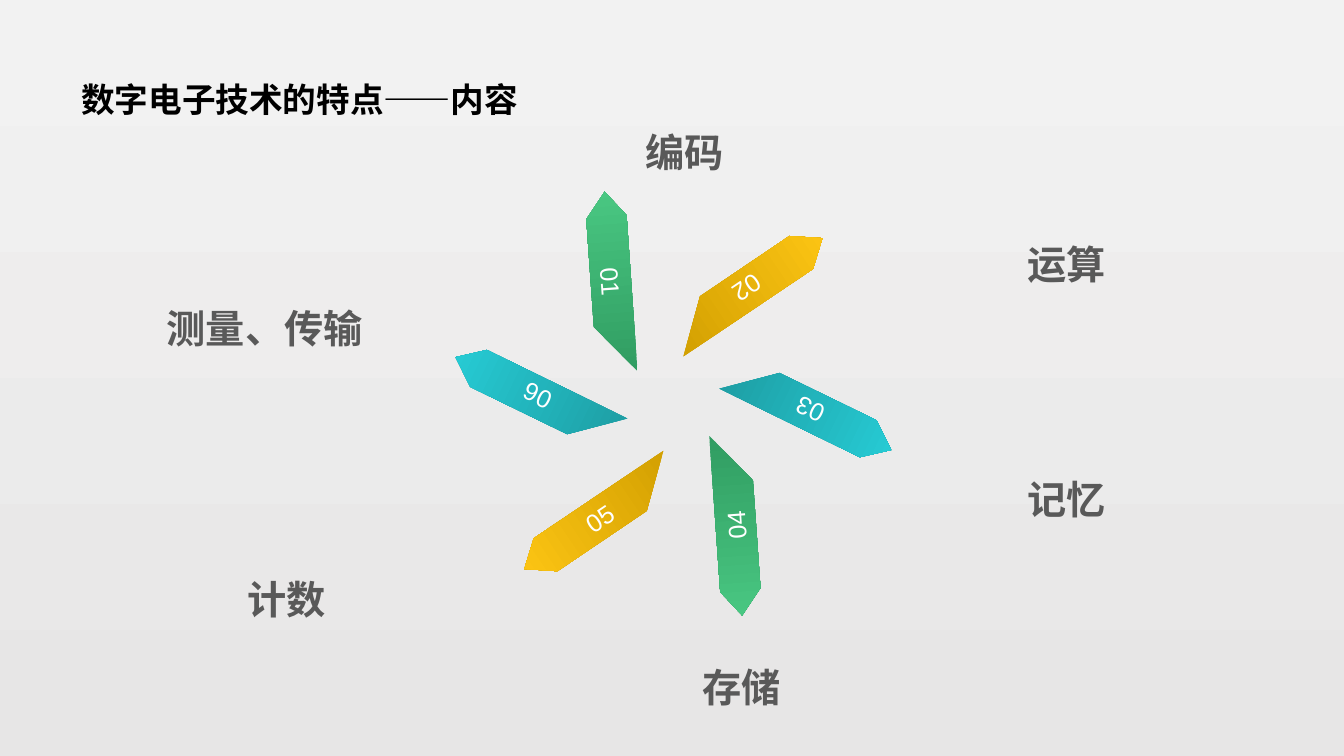
from math import cos, radians, sin

from pptx import Presentation
from pptx import util as u
from pptx.dml.color import RGBColor
from pptx.enum import text

TITLE = ("数字电子技术的特点——内容", 1.8, 0.71, 29.21, 3.68)
LABELS = [
    ("编码", 13.11, 3.35, 8.28, 1.19),
    ("运算", 23.14, 5.11, 7.47, 2.26),
    ("记忆", 23.14, 11.02, 7.47, 2.26),
    ("存储", 14.68, 15.77, 8.0, 2.26),
    ("计数", 3.56, 13.56, 7.34, 2.26),
    ("测量、传输", 3.0, 6.73, 7.34, 2.26),
]
BLADES = [
    ("01", "309C61", "49C782", True),
    ("02", "CF9D00", "FFC715", True),
    ("03", "1D9BA1", "27CED7", True),
    ("04", "309C61", "49C782", True),
    ("05", "CF9D00", "FFC715", True),
    ("06", "1D9BA1", "27CED7", False),
]
OUTLINE = [(0, 1.02), (3.94, 1.02), (4.57, 0.51), (3.91, 0), (1.19, 0)]
BLADE_WIDTH, BLADE_HEIGHT = 4.57, 1.02
HUB_X, HUB_Y, RADIUS = 16.97, 10.17, 3.44
FIRST_TURN, LEAD = 266, 23.2
HALF_TURN = "10800000"


def color(value):
    return RGBColor.from_string(value)


def fill_gradient(fill, start, end, angle):
    fill.gradient()
    fill.gradient_angle = angle
    for stop, position, value in zip(fill.gradient_stops, (0, 1), (start, end)):
        stop.position = position
        stop.color.rgb = color(value)


def write(shape, words, size, value, bold, align, anchor, spacing=1.0):
    frame = shape.text_frame
    frame.text = words
    frame.word_wrap = True
    frame.vertical_anchor = anchor
    para = frame.paragraphs[0]
    para.alignment = align
    para.line_spacing = spacing
    font = para.runs[0].font
    font.name, font.size, font.bold = "Arial", u.Pt(size), bold
    font.color.rgb = color(value)


def add_text(slide, words, *place):
    return slide.shapes.add_textbox(*map(u.Cm, place))


def add_blade(slide, index, words, dark, light, upside_down):
    turn = (FIRST_TURN + 60 * index) % 360
    angle = radians(turn - LEAD)
    left = HUB_X + RADIUS * cos(angle) - BLADE_WIDTH / 2
    top = HUB_Y + RADIUS * sin(angle) - BLADE_HEIGHT / 2
    points = [(u.Cm(x), u.Cm(y)) for x, y in OUTLINE]
    builder = slide.shapes.build_freeform(*points[0])
    builder.add_line_segments(points[1:])
    blade = builder.convert_to_shape()
    blade.left, blade.top = u.Cm(left), u.Cm(top)
    blade.rotation = turn
    blade.shadow.inherit = False
    blade.line.fill.background()
    fill_gradient(blade.fill, dark, light, 0)
    write(blade, words, 18, "FFFFFF", False, text.PP_ALIGN.CENTER, text.MSO_ANCHOR.MIDDLE)
    if upside_down:
        blade.text_frame._txBody.bodyPr.set("rot", HALF_TURN)


def main():
    deck = Presentation()
    deck.slide_width, deck.slide_height = u.Cm(33.87), u.Cm(19.05)
    slide = deck.slides.add_slide(deck.slide_layouts[6])
    fill_gradient(slide.background.fill, "F2F2F2", "E7E6E6", 270)
    write(add_text(slide, *TITLE), TITLE[0], 24, "000000", True,
          text.PP_ALIGN.LEFT, text.MSO_ANCHOR.MIDDLE, 0.9)
    for index, blade in enumerate(BLADES):
        add_blade(slide, index, *blade)
    for label in LABELS:
        write(add_text(slide, *label), label[0], 28, "595959", True,
              text.PP_ALIGN.CENTER, text.MSO_ANCHOR.BOTTOM, 1.3)
    deck.save("out.pptx")


if __name__ == "__main__":
    main()
